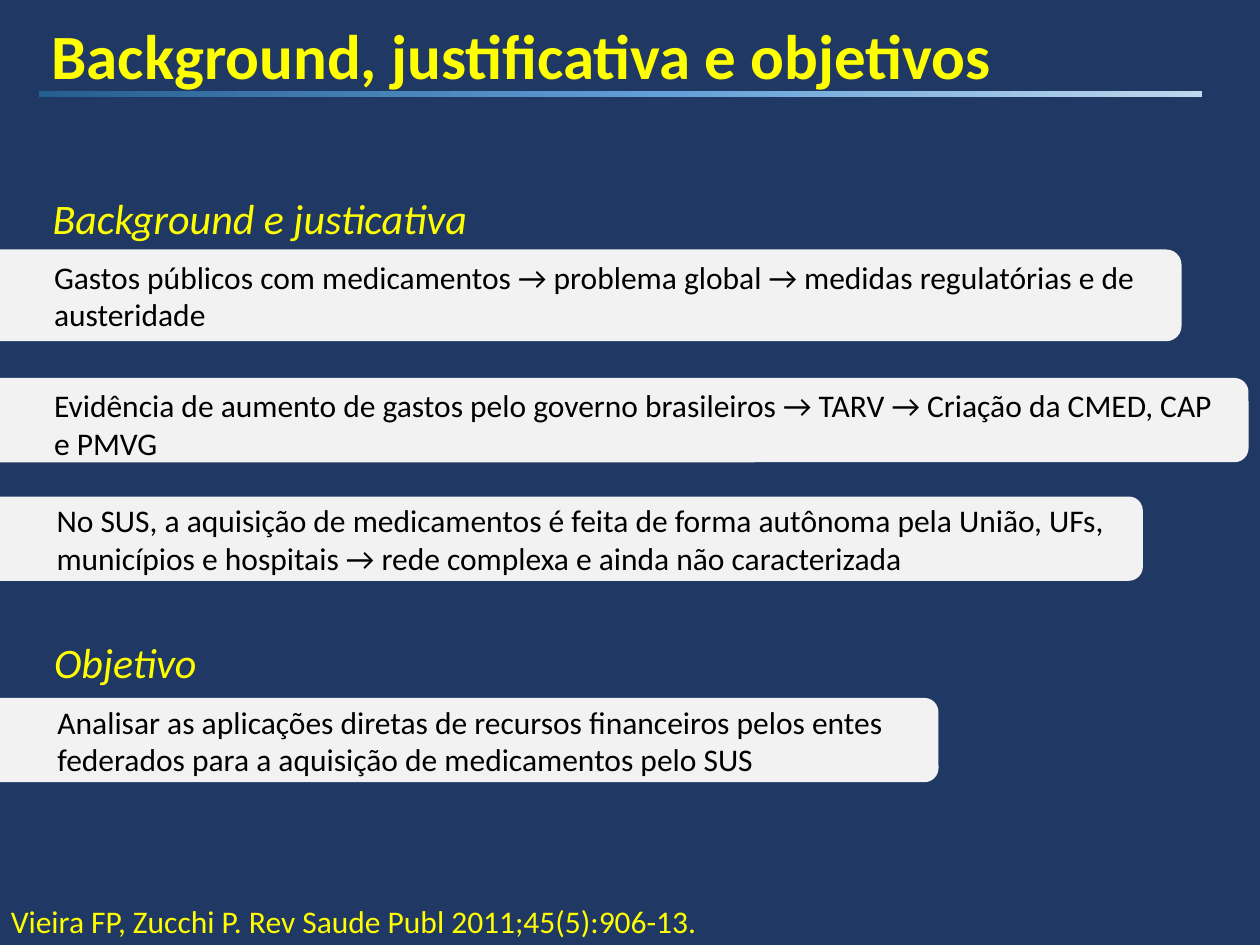
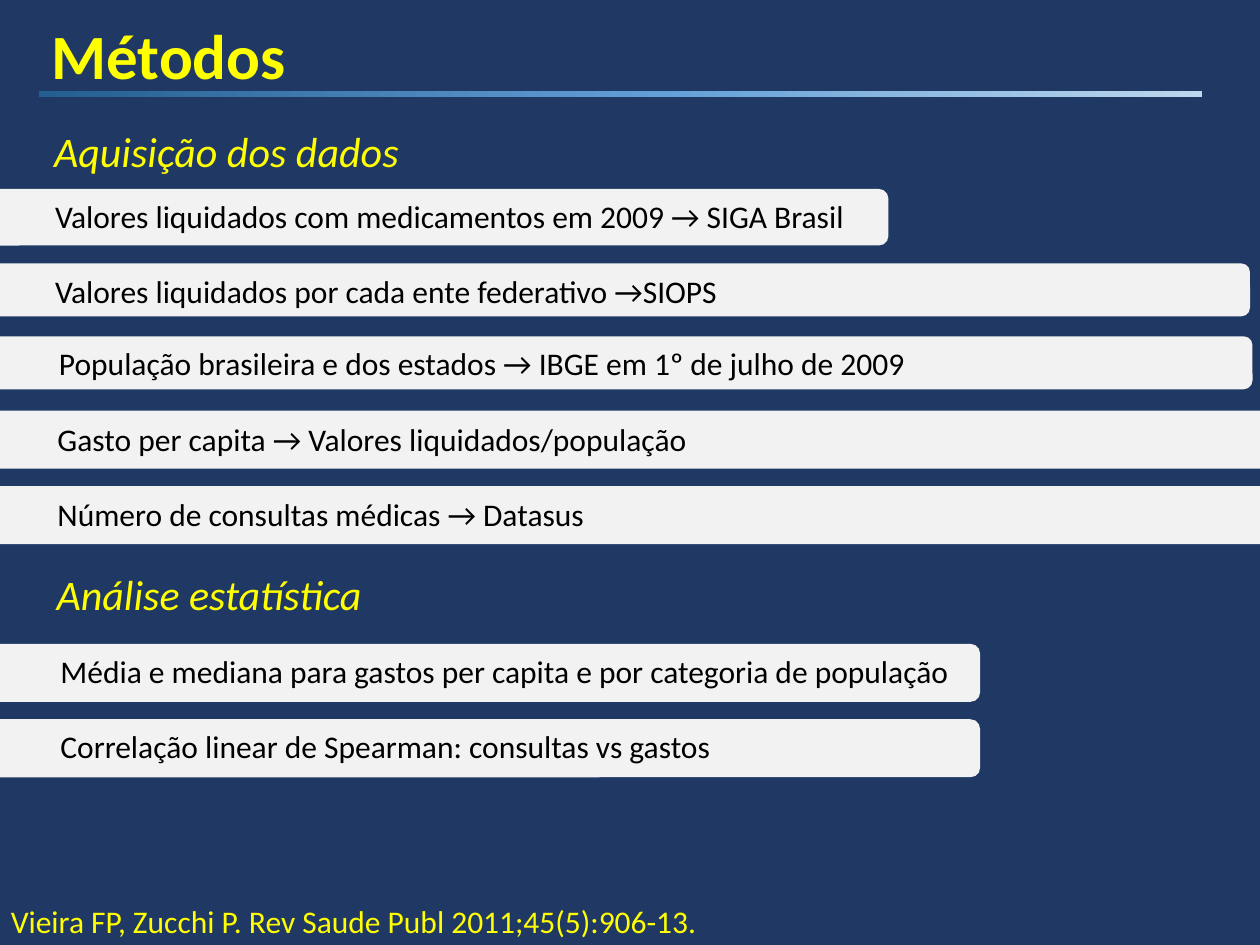
"""Build two study slides: background with objectives, and methods."""
from copy import deepcopy
from dataclasses import dataclass

from pptx import Presentation
from pptx import util as u
from pptx.dml import color as dml
from pptx.enum import shapes, text
from pptx.slide import Slide

FONT = "Calibri"
COLORS = {
    "background": "203864",
    "accent": "FFFF00",
    "body": "000000",
    "bar": "F2F2F2",
}
RULE_STOPS = ((0, "255E91"), (0.54, "63A0D7"), (1, "BDD7EE"))
CITATION = "Vieira FP, Zucchi P. Rev Saude Publ 2011;45(5):906-13."


@dataclass(frozen=True)
class Style:
    size: int
    color: str
    bold: bool = False
    italic: bool = False
    align: text.PP_ALIGN = text.PP_ALIGN.LEFT


TITLE = Style(36, "accent", bold=True)
HEADING = Style(24, "accent", italic=True)
BODY = Style(18, "body")
FOOTER = Style(18, "accent", align=text.PP_ALIGN.CENTER)


@dataclass(frozen=True)
class Box:
    left: float
    top: float
    width: float
    height: float

    def lengths(self) -> tuple[u.Cm, ...]:
        return tuple(u.Cm(side) for side in (self.left, self.top, self.width, self.height))


@dataclass(frozen=True)
class Heading:
    words: str
    left: float
    top: float


@dataclass(frozen=True)
class Statement:
    words: str
    bar: Box
    text_left: float
    text_width: float = 24.03
    text_drop: float = 0.04


@dataclass(frozen=True)
class Page:
    title: str
    headings: tuple[Heading, ...]
    statements: tuple[Statement, ...]


PAGES = (
    Page(
        "Background, justificativa e objetivos",
        (Heading("Background e justicativa", 0.81, 3.76), Heading("Objetivo", 0.84, 12.7)),
        (
            Statement("Gastos públicos com medicamentos → problema global → "
                      "medidas regulatórias e de austeridade",
                      Box(-0.64, 5.03, 24.46, 1.85), 0.84),
            Statement("Evidência de aumento de gastos pelo governo brasileiros → "
                      "TARV → Criação da CMED, CAP e PMVG",
                      Box(-1.22, 7.62, 26.39, 1.7), 0.84),
            Statement("No SUS, a aquisição de medicamentos é feita de forma autônoma "
                      "pela União, UFs, municípios e hospitais → rede complexa e "
                      "ainda não caracterizada",
                      Box(-1.22, 10.01, 24.26, 1.7), 0.89, 24.43, -0.03),
            Statement("Analisar as aplicações diretas de recursos financeiros pelos entes "
                      "federados para a aquisição de medicamentos pelo SUS",
                      Box(-0.64, 14.07, 19.56, 1.7), 0.91, 19.81, -0.03),
        ),
    ),
    Page(
        "Métodos",
        (Heading("Aquisição dos dados", 0.84, 2.41), Heading("Análise estatística", 0.89, 11.33)),
        (
            Statement("Valores liquidados com medicamentos em 2009 → SIGA Brasil",
                      Box(-0.61, 3.81, 18.52, 1.14), 0.86),
            Statement("Valores liquidados por cada ente federativo →SIOPS",
                      Box(-1.19, 5.31, 26.39, 1.07), 0.86),
            Statement("População brasileira e dos estados → IBGE em 1º de julho de 2009",
                      Box(-1.14, 6.78, 26.39, 1.07), 0.94),
            Statement("Gasto per capita → Valores liquidados/população",
                      Box(-1.19, 8.28, 26.85, 1.17), 0.91, text_drop=0.07),
            Statement("Número de consultas médicas → Datasus",
                      Box(-1.19, 9.8, 26.85, 1.17), 0.91, text_drop=0.06),
            Statement("Média e mediana para gastos per capita e por categoria de população",
                      Box(-0.61, 12.98, 20.37, 1.17), 0.97),
            Statement("Correlação linear de Spearman: consultas vs gastos",
                      Box(-0.61, 14.5, 20.37, 1.17), 0.97),
        ),
    ),
)


def rgb(name: str) -> dml.RGBColor:
    """Look up a named colour."""
    return dml.RGBColor.from_string(COLORS[name])


def add_text(slide: Slide, words: str, box: Box, style: Style) -> None:
    """Place one styled run in a wrapping text box."""
    frame = slide.shapes.add_textbox(*box.lengths()).text_frame
    frame.word_wrap = True
    paragraph = frame.paragraphs[0]
    paragraph.alignment = style.align
    run = paragraph.add_run()
    run.text = words
    run.font.name = FONT
    run.font.size = u.Pt(style.size)
    run.font.bold = style.bold
    run.font.italic = style.italic
    run.font.color.rgb = rgb(style.color)


def add_title_rule(slide: Slide) -> None:
    """Draw the gradient rule under the title."""
    rule = slide.shapes.add_shape(
        shapes.MSO_SHAPE.RECTANGLE, *Box(0.79, 1.83, 23.44, 0.13).lengths())
    rule.shadow.inherit = False
    rule.line.fill.background()
    rule.fill.gradient()
    rule.fill.gradient_angle = 0
    first = rule.fill.gradient_stops[0]._gs
    first.addnext(deepcopy(first))
    for stop, (position, color) in zip(rule.fill.gradient_stops, RULE_STOPS):
        stop.position = position
        stop.color.rgb = dml.RGBColor.from_string(color)


def add_statement(slide: Slide, statement: Statement) -> None:
    """Draw a rounded bar with its statement on top."""
    bar = statement.bar
    shape = slide.shapes.add_shape(shapes.MSO_SHAPE.ROUNDED_RECTANGLE, *bar.lengths())
    shape.shadow.inherit = False
    shape.fill.solid()
    shape.fill.fore_color.rgb = rgb("bar")
    shape.line.fill.background()
    text_box = Box(statement.text_left, bar.top + statement.text_drop,
                   statement.text_width, bar.height)
    add_text(slide, statement.words, text_box, BODY)


def add_page(presentation: Presentation, page: Page) -> None:
    """Add a slide with the shared frame and the page content."""
    slide = presentation.slides.add_slide(presentation.slide_layouts[6])
    slide.background.fill.solid()
    slide.background.fill.fore_color.rgb = rgb("background")
    add_title_rule(slide)
    add_text(slide, page.title, Box(0.79, 0.2, 23.4, 1.8), TITLE)
    for heading in page.headings:
        add_text(slide, heading.words, Box(heading.left, heading.top, 24.43, 1.27), HEADING)
    for statement in page.statements:
        add_statement(slide, statement)
    add_text(slide, CITATION, Box(-4.65, 18.06, 23.57, 1.02), FOOTER)


def main() -> None:
    """Build and save the presentation."""
    presentation = Presentation()
    presentation.slide_width = u.Cm(25.4)
    presentation.slide_height = u.Cm(19.05)
    for page in PAGES:
        add_page(presentation, page)
    presentation.save("out.pptx")


if __name__ == "__main__":
    main()
